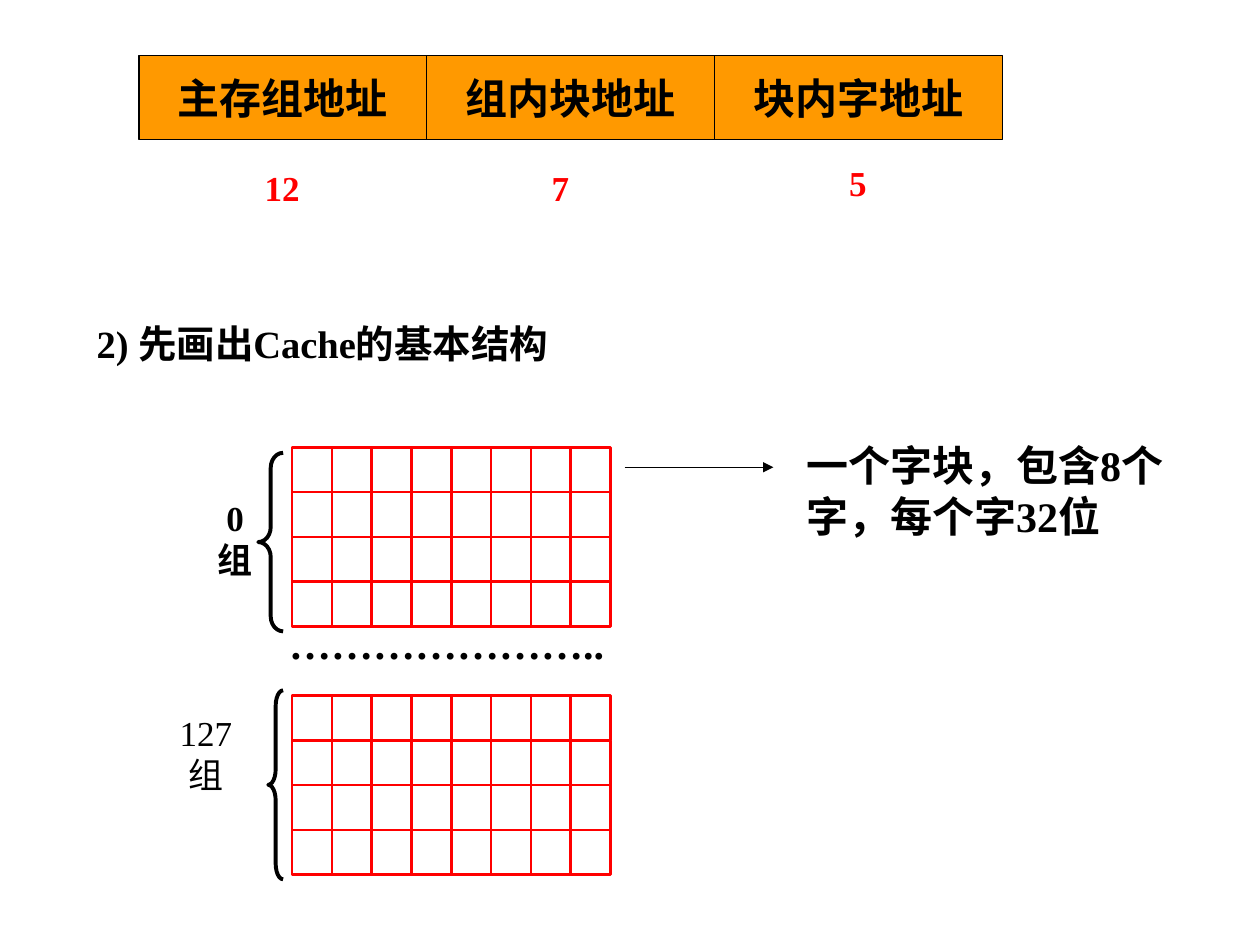
from dataclasses import dataclass
from itertools import product

from lxml import etree
from pptx import Presentation
from pptx.dml.color import RGBColor
from pptx.enum.shapes import MSO_CONNECTOR, MSO_SHAPE
from pptx.enum.text import MSO_ANCHOR, MSO_AUTO_SIZE, PP_ALIGN
from pptx.oxml.ns import qn
from pptx.util import Pt

RECTANGLE = MSO_SHAPE.RECTANGLE
LEFT_BRACE = MSO_SHAPE.LEFT_BRACE
STRAIGHT = MSO_CONNECTOR.STRAIGHT
TOP = MSO_ANCHOR.TOP
MIDDLE = MSO_ANCHOR.MIDDLE
GROW = MSO_AUTO_SIZE.SHAPE_TO_FIT_TEXT
LEFT = PP_ALIGN.LEFT
CENTER = PP_ALIGN.CENTER


@dataclass(frozen=True)
class Theme:
    font: str = "Times New Roman"
    black: RGBColor = RGBColor(0, 0, 0)
    red: RGBColor = RGBColor(255, 0, 0)
    orange: RGBColor = RGBColor(255, 153, 0)
    large: int = 24
    heading: int = 22
    small: int = 20
    thin: float = 0.75
    medium: float = 1.5
    thick: float = 2.25
    space_before: float = 2.5


class SlideBuilder:
    def __init__(self, slide, theme):
        self.slide = slide
        self.theme = theme

    def add_text(self, box, text, size, color, align, bold=True):
        para = box.text_frame.paragraphs[0]
        para.alignment = align
        span = para.add_run()
        span.text = text
        span.font.name = self.theme.font
        span.font.size = Pt(size)
        span.font.bold = bold
        span.font.color.rgb = color
        return para

    def flow(self, box, text, size, color, align, bold=True):
        frame = box.text_frame
        frame.word_wrap = True
        frame.auto_size = GROW
        frame.vertical_anchor = TOP
        para = self.add_text(box, text, size, color, align, bold)
        para.space_before = Pt(self.theme.space_before)

    def heading(self, text, left, top, width, height):
        title = self.slide.shapes.title
        title.left, title.top = Pt(left), Pt(top)
        title.width, title.height = Pt(width), Pt(height)
        self.flow(title, text, self.theme.heading, self.theme.black, LEFT)

    def label(self, text, left, top, width, height, size, color, align=CENTER, bold=True):
        box = self.slide.shapes.add_textbox(Pt(left), Pt(top), Pt(width), Pt(height))
        self.flow(box, text, size, color, align, bold)

    def outline(self, kind, left, top, width, height, color, weight):
        shape = self.slide.shapes.add_shape(kind, Pt(left), Pt(top), Pt(width), Pt(height))
        shape.shadow.inherit = False
        shape.fill.background()
        shape.line.color.rgb = color
        shape.line.width = Pt(weight)
        return shape

    def field(self, text, left, top, width, height):
        theme = self.theme
        shape = self.outline(RECTANGLE, left, top, width, height, theme.black, theme.thin)
        shape.fill.solid()
        shape.fill.fore_color.rgb = theme.orange
        shape.text_frame.word_wrap = False
        shape.text_frame.vertical_anchor = MIDDLE
        self.add_text(shape, text, theme.large, theme.black, CENTER)

    def brace(self, left, top, width, height, curve):
        shape = self.outline(LEFT_BRACE, left, top, width, height, self.theme.black, self.theme.thick)
        shape.adjustments[0] = curve

    def grid(self, left, top, rows, columns, width, height):
        for row, column in product(range(rows), range(columns)):
            self.outline(RECTANGLE, left + column * width, top + row * height,
                         width, height, self.theme.red, self.theme.medium)

    def arrow(self, left, top, right, bottom):
        connector = self.slide.shapes.add_connector(STRAIGHT, Pt(left), Pt(top), Pt(right), Pt(bottom))
        connector.line.color.rgb = self.theme.black
        connector.line.width = Pt(self.theme.thin)
        properties = connector.element.spPr
        etree.SubElement(properties.find(qn("a:ln")), qn("a:tailEnd"), type="triangle")
        etree.SubElement(properties, qn("a:effectLst"))


def main():
    deck = Presentation()
    deck.slide_width, deck.slide_height = Pt(720), Pt(540)
    theme = Theme()
    page = SlideBuilder(deck.slides.add_slide(deck.slide_layouts[5]), theme)

    field_width = 164.5
    fields = [
        ("主存组地址", "12", 113, 91.5),
        ("组内块地址", "7", 272, 91.5),
        ("块内字地址", "5", 442, 88.5),
    ]
    for index, (name, bits, left, top) in enumerate(fields):
        page.field(name, 79.4 + index * field_width, 31.7, field_width, 48.2)
        page.label(bits, left, top, 96.5, 31, theme.small, theme.red)

    page.heading("2) 先画出Cache的基本结构", 48, 179.5, 536, 34)

    page.arrow(357, 267, 442, 267)
    page.label("一个字块，包含8个字，每个字32位", 453.6, 247.7, 229.7, 65,
               theme.large, theme.black, LEFT)

    for top in (255.6, 397.4):
        page.grid(167, top, 4, 8, 22.73, 25.6)
    page.label("…………………..", 150.5, 349.2, 209.5, 36, theme.large, theme.black)

    page.brace(147.6, 258.8, 14.2, 102, 0.6)
    page.label("0组", 116, 280, 36.7, 55.4, theme.small, theme.black)
    page.brace(153.3, 394.5, 8.5, 108, 1.05)
    page.label("127组", 87.8, 403.2, 59.8, 55.4, theme.small, theme.black, bold=False)

    deck.save("out.pptx")


if __name__ == "__main__":
    main()
